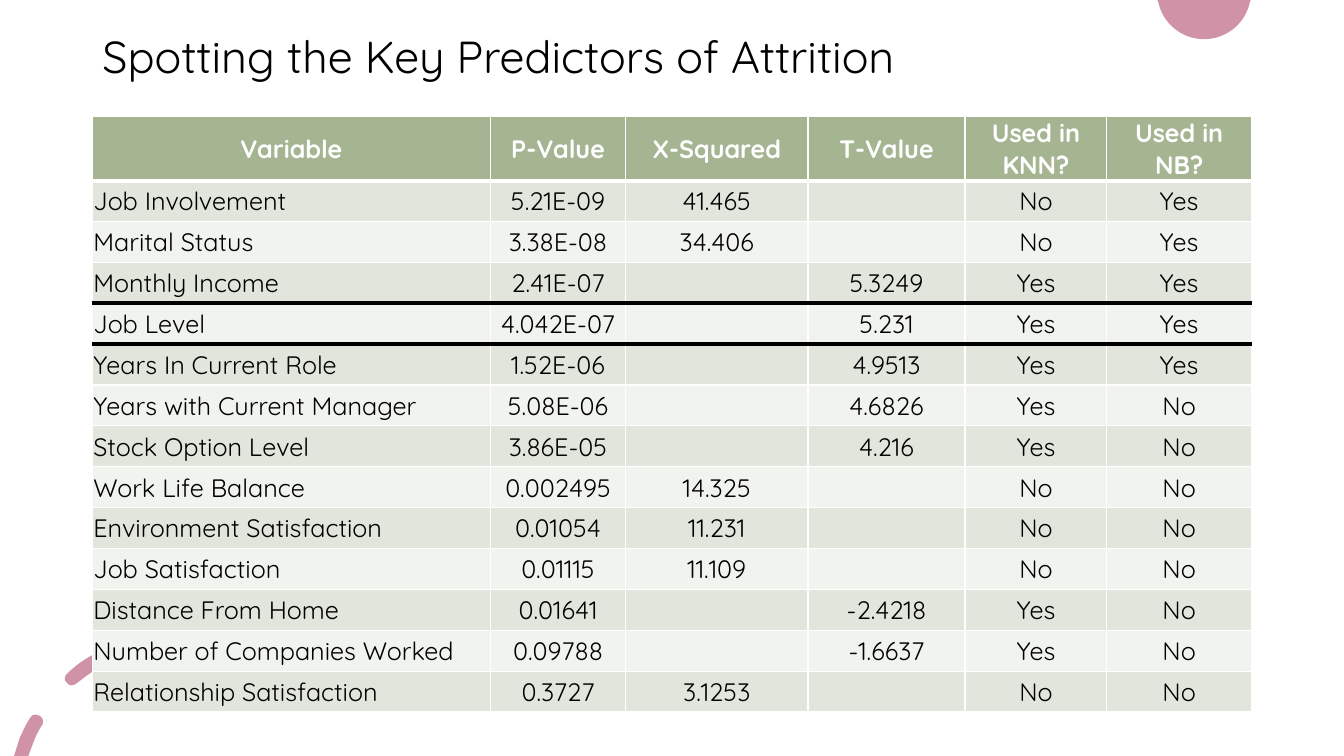
import pptx
import pptx.dml.color
import pptx.enum.text
import pptx.oxml
import pptx.oxml.ns
import pptx.util

Pt = pptx.util.Pt
RGBColor = pptx.dml.color.RGBColor
PP_ALIGN = pptx.enum.text.PP_ALIGN
MIDDLE = pptx.enum.text.MSO_ANCHOR.MIDDLE

BLACK = RGBColor(0x00, 0x00, 0x00)
WHITE = RGBColor(0xFF, 0xFF, 0xFF)
PINK = RGBColor(0xD0, 0x92, 0xA7)
GREEN = RGBColor(0xA5, 0xB5, 0x92)
BANDS = (RGBColor(0xF0, 0xF3, 0xEE), RGBColor(0xE1, 0xE5, 0xDC))

FONT = "Quicksand"
TITLE = "Spotting the Key Predictors of Attrition"
COLUMN_WIDTHS = (284.4, 96.5, 130.3, 112.2, 101.3, 103.3)
ROW_HEIGHT = 29.2
HIGHLIGHTED = "Job Level"
PREDICTORS = (
    ("Variable", "P-Value", "X-Squared", "T-Value", "Used in KNN?", "Used in NB?"),
    ("Job Involvement", "5.21E-09", "41.465", "", "No", "Yes"),
    ("Marital Status", "3.38E-08", "34.406", "", "No", "Yes"),
    ("Monthly Income", "2.41E-07", "", "5.3249", "Yes", "Yes"),
    ("Job Level", "4.042E-07", "", "5.231", "Yes", "Yes"),
    ("Years In Current Role", "1.52E-06", "", "4.9513", "Yes", "Yes"),
    ("Years with Current Manager", "5.08E-06", "", "4.6826", "Yes", "No"),
    ("Stock Option Level", "3.86E-05", "", "4.216", "Yes", "No"),
    ("Work Life Balance", "0.002495", "14.325", "", "No", "No"),
    ("Environment Satisfaction", "0.01054", "11.231", "", "No", "No"),
    ("Job Satisfaction", "0.01115", "11.109", "", "No", "No"),
    ("Distance From Home", "0.01641", "", "-2.4218", "Yes", "No"),
    ("Number of Companies Worked", "0.09788", "", "-1.6637", "Yes", "No"),
    ("Relationship Satisfaction", "0.3727", "3.1253", "", "No", "No"),
)

CIRCLE = (
    ((0, 0),),
    ((67, 0),),
    ((66.4, 0.7),),
    ((63.4, 16.5), (49.7, 28), (33.5, 28)),
    ((17.3, 28), (3.6, 16.5), (0.6, 0.7)),
)
LOWER_DASH = (
    ((15.9, 47.5),),
    ((14.5, 46.8), (12.3, 48.2), (11.6, 49.6)),
    ((8.7, 54), (6.6, 59), (4.4, 63.3)),
    ((0, 77),),
    ((10.2, 77),),
    ((13.8, 67.6),),
    ((15.2, 63.3), (17.4, 59), (20.2, 54.7)),
    ((21.7, 52.5), (20.2, 48.9), (18.1, 48.2)),
    ((17.4, 47.5), (16.6, 47.5), (15.9, 47.5)),
)
UPPER_DASH = (
    ((65.6, 0),),
    ((64.9, 0), (64.2, 0), (64.2, 0.7)),
    ((54.8, 5), (45.4, 10.8), (38.2, 18)),
    ((36.1, 19.4), (35.4, 23), (37.5, 24.4)),
    ((38.2, 25.9), (39.7, 26.6), (41.1, 26.6)),
    ((42.6, 26.6), (43.3, 25.9), (44.7, 25.2)),
    ((51.9, 19.4), (59.8, 13.7), (68.5, 9.4)),
    ((70.6, 7.9), (72.1, 5), (70.6, 2.9)),
    ((69.9, 0.7), (67.7, 0), (65.6, 0)),
)


def set_format(target, values):
    """Set each named attribute of the target."""
    for name, value in values.items():
        setattr(target, name, value)


def set_font(font, size, color, bold=False):
    """Format a font in the slide's typeface."""
    set_format(font, {"name": FONT, "size": Pt(size), "bold": bold})
    font.color.rgb = color


def bend_segments(shape, left, top, segments):
    """Turn the straight segments that have control points into curves."""
    lines = list(shape._element.iter(pptx.oxml.ns.qn("a:lnTo")))
    for line, segment in zip(lines, segments):
        if len(segment) == 1:
            continue
        points = "".join(
            f'<a:pt x="{Pt(left + x) - shape.left}" y="{Pt(top + y) - shape.top}"/>'
            for x, y in segment)
        curve = pptx.oxml.parse_xml(
            f'<a:cubicBezTo {pptx.oxml.ns.nsdecls("a")}>{points}</a:cubicBezTo>')
        line.getparent().replace(line, curve)


def add_pink_outline(slide, left, top, contours):
    """Draw closed contours as one pink shape with its box at left, top."""
    builder = None
    for contour in contours:
        points = [(Pt(left + x), Pt(top + y)) for *_, (x, y) in contour]
        if builder is None:
            builder = slide.shapes.build_freeform(*points[0], scale=1.0)
        else:
            builder.move_to(*points[0])
        builder.add_line_segments(points[1:], close=True)
    shape = builder.convert_to_shape()
    bend_segments(shape, left, top,
                  [segment for contour in contours for segment in contour[1:]])
    shape.shadow.inherit = False
    shape.fill.solid()
    shape.fill.fore_color.rgb = PINK
    shape.line.fill.background()


def add_title(slide, left, top, width, height):
    """Place and format the title."""
    title = slide.shapes.title
    set_format(title, {"left": Pt(left), "top": Pt(top),
                       "width": Pt(width), "height": Pt(height)})
    title.text_frame.text = TITLE
    set_format(title.text_frame, {"vertical_anchor": MIDDLE, "word_wrap": True})
    paragraph = title.text_frame.paragraphs[0]
    set_format(paragraph, {"alignment": PP_ALIGN.LEFT, "line_spacing": 0.9})
    set_font(paragraph.runs[0].font, 32, BLACK)


def rule_below(row):
    """Return the colour and width of the rule under a row."""
    if row == 0:
        return WHITE, 3
    names = [predictor[0] for predictor in PREDICTORS]
    if HIGHLIGHTED in names[max(row, 0):row + 2]:
        return BLACK, 3
    return WHITE, 1


def set_borders(cell, borders):
    """Give a cell its borders, keyed by side letter."""
    properties = cell._tc.get_or_add_tcPr()
    for side, (color, width) in borders.items():
        properties.append(pptx.oxml.parse_xml(
            f'<a:ln{side} {pptx.oxml.ns.nsdecls("a")} w="{Pt(width)}">'
            f'<a:solidFill><a:srgbClr val="{color}"/></a:solidFill></a:ln{side}>'))


def format_cell(cell, row, column):
    """Fill one table cell with its text, borders and colour."""
    header = row == 0
    set_format(cell, {"text": PREDICTORS[row][column], "vertical_anchor": MIDDLE,
                      "margin_left": Pt(0.7), "margin_right": Pt(0.7),
                      "margin_top": Pt(0.7), "margin_bottom": Pt(0)})
    paragraph = cell.text_frame.paragraphs[0]
    paragraph.alignment = PP_ALIGN.CENTER if header or column else PP_ALIGN.LEFT
    for run in paragraph.runs:
        set_font(run.font, 18, WHITE if header else BLACK, header)
    set_borders(cell, {"L": (WHITE, 1), "R": (WHITE, 1),
                       "T": rule_below(row - 1), "B": rule_below(row)})
    cell.fill.solid()
    cell.fill.fore_color.rgb = GREEN if header else BANDS[row % 2]


def add_predictor_table(slide, left, top, width, height):
    """Build the table of predictors."""
    frame = slide.shapes.add_table(len(PREDICTORS), len(COLUMN_WIDTHS),
                                   Pt(left), Pt(top), Pt(width), Pt(height))
    table = frame.table
    for column, column_width in zip(table.columns, COLUMN_WIDTHS):
        column.width = Pt(column_width)
    for row in table.rows:
        row.height = Pt(ROW_HEIGHT)
    for row in range(len(PREDICTORS)):
        for column in range(len(COLUMN_WIDTHS)):
            format_cell(table.cell(row, column), row, column)
    frame.height = Pt(height)


def main():
    """Build and save the slide."""
    presentation = pptx.Presentation()
    set_format(presentation, {"slide_width": Pt(960), "slide_height": Pt(540)})
    slide = presentation.slides.add_slide(presentation.slide_layouts[5])
    add_pink_outline(slide, 826.6, 0, [CIRCLE])
    add_pink_outline(slide, 10, 463, [LOWER_DASH, UPPER_DASH])
    add_title(slide, 66, 10.4, 828, 63.4)
    add_predictor_table(slide, 66, 83.2, 828, 423.4)
    presentation.save("out.pptx")


if __name__ == "__main__":
    main()
